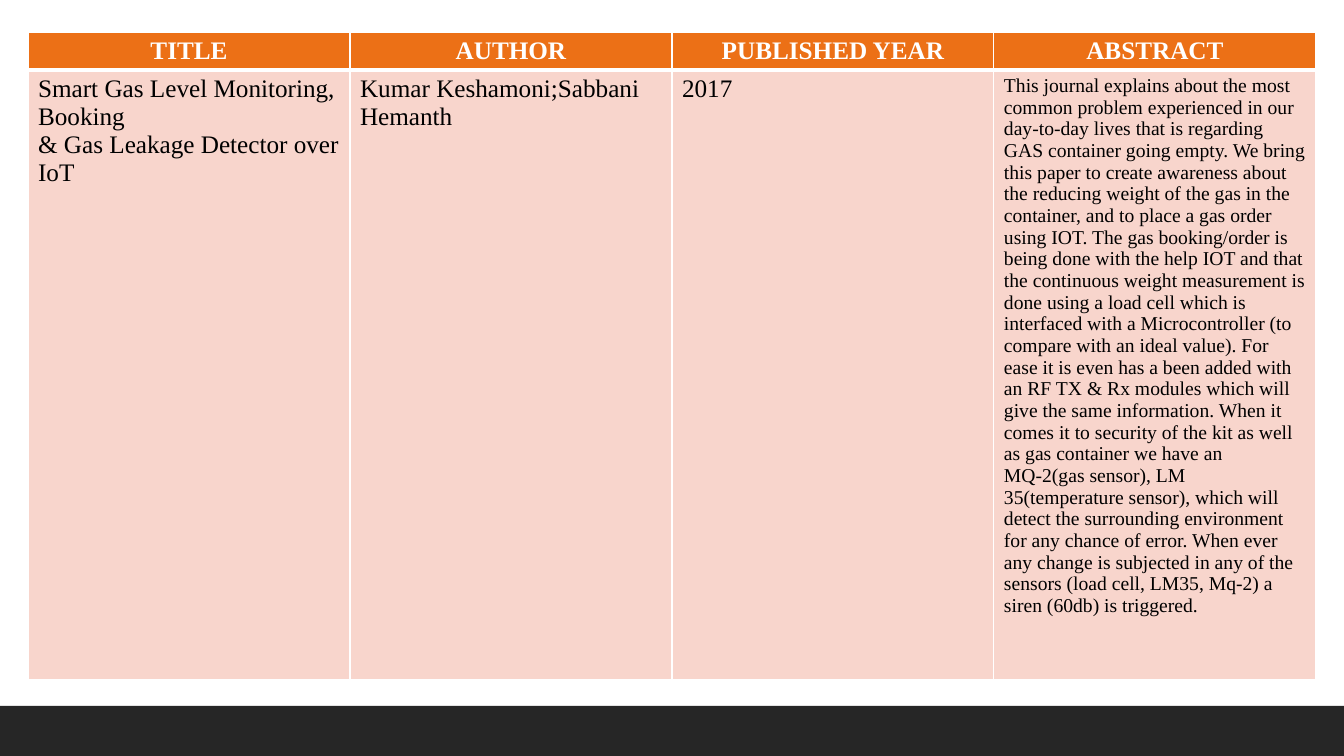
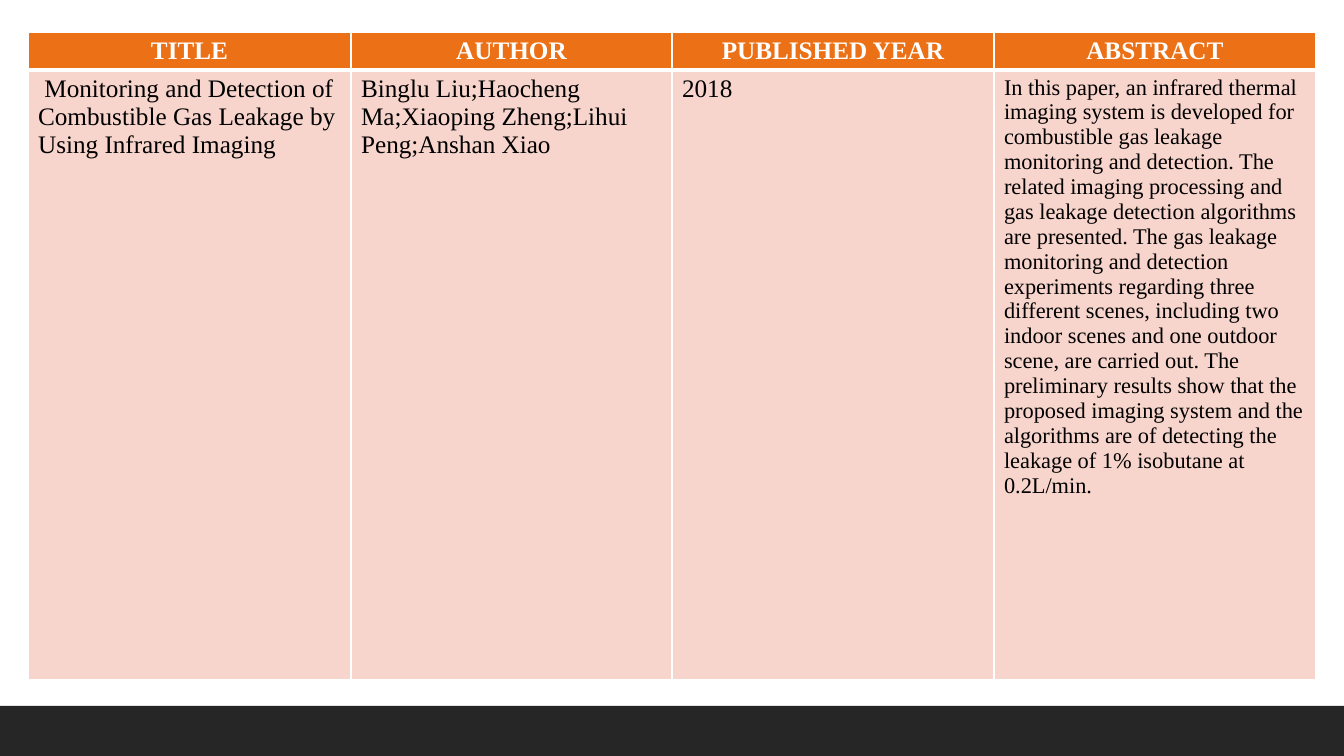
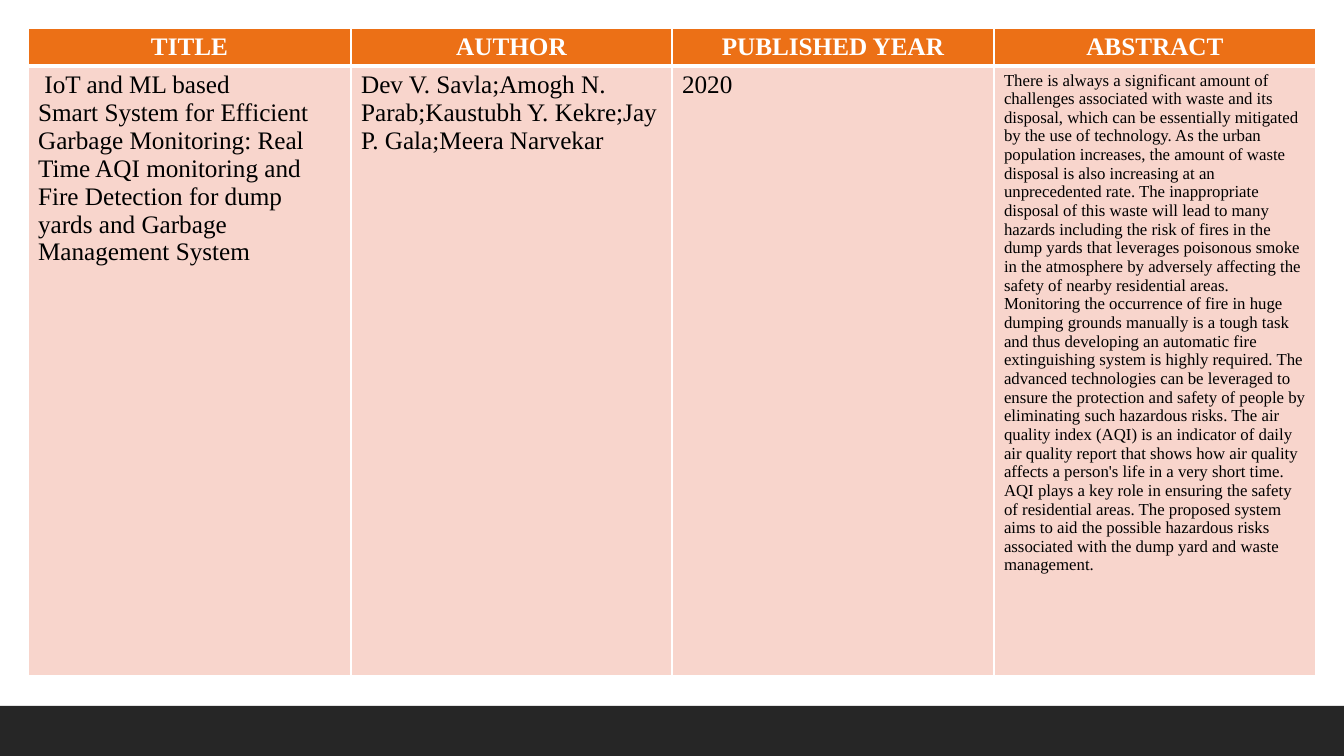
from lxml import etree
from pptx import Presentation
from pptx.dml.color import RGBColor
from pptx.enum.shapes import MSO_SHAPE
from pptx.enum.text import PP_ALIGN
from pptx.oxml.ns import qn
from pptx.util import Pt

RECTANGLE = MSO_SHAPE.RECTANGLE
LEFT, CENTER = PP_ALIGN.LEFT, PP_ALIGN.CENTER

# Shared look
EMU_PER_PIXEL = 914400 / 100.8
SLIDE_WIDTH, SLIDE_HEIGHT = 1344, 756
FOOTER_HEIGHT = 50
FONT = "Times New Roman"
TEXT_SIZE = 18
WHITE, BLACK = "FFFFFF", "000000"
FOOTER_FILL, HEADER_FILL, BODY_FILL = "262626", "EC7016", "F8D5CC"

# Table layout
HEADINGS = ("TITLE", "AUTHOR", "PUBLISHED YEAR", "ABSTRACT")
TABLE_LEFT = 28
ROW_HEIGHTS = (38, 610)
EVEN_COLUMNS = (322, 322, 322, 322)
WIDE_TITLE_COLUMNS = (323, 321, 322, 322)
THIN_LINE, THICK_LINE = 1, 3

# Abstracts, sentence by sentence
GAS_BOOKING_ABSTRACT = (
    "This journal explains about the most common problem experienced in our "
    "day-to-day lives that is regarding GAS container going empty.",
    "We bring this paper to create awareness about the reducing weight of the "
    "gas in the container, and to place a gas order using IOT.",
    "The gas booking/order is being done with the help IOT and that the "
    "continuous weight measurement is done using a load cell which is "
    "interfaced with a Microcontroller (to compare with an ideal value).",
    "For ease it is even has a been added with an RF TX & Rx modules which will "
    "give the same information.",
    "When it comes it to security of the kit as well as gas container we have "
    "an MQ-2(gas sensor), LM 35(temperature sensor), which will detect the "
    "surrounding environment for any chance of error.",
    "When ever any change is subjected in any of the sensors (load cell, LM35, "
    "Mq-2) a siren (60db) is triggered.",
)
INFRARED_ABSTRACT = (
    "In this paper, an infrared thermal imaging system is developed for "
    "combustible gas leakage monitoring and detection.",
    "The related imaging processing and gas leakage detection algorithms are "
    "presented.",
    "The gas leakage monitoring and detection experiments regarding three "
    "different scenes, including two indoor scenes and one outdoor scene, are "
    "carried out.",
    "The preliminary results show that the proposed imaging system and the "
    "algorithms are of detecting the leakage of 1% isobutane at 0.2L/min.",
)
GARBAGE_ABSTRACT = (
    "There is always a significant amount of challenges associated with waste "
    "and its disposal, which can be essentially mitigated by the use of "
    "technology.",
    "As the urban population increases, the amount of waste disposal is also "
    "increasing at an unprecedented rate.",
    "The inappropriate disposal of this waste will lead to many hazards "
    "including the risk of fires in the dump yards that leverages poisonous "
    "smoke in the atmosphere by adversely affecting the safety of nearby "
    "residential areas.",
    "Monitoring the occurrence of fire in huge dumping grounds manually is a "
    "tough task and thus developing an automatic fire extinguishing system is "
    "highly required.",
    "The advanced technologies can be leveraged to ensure the protection and "
    "safety of people by eliminating such hazardous risks.",
    "The air quality index (AQI) is an indicator of daily air quality report "
    "that shows how air quality affects a person's life in a very short time.",
    "AQI plays a key role in ensuring the safety of residential areas.",
    "The proposed system aims to aid the possible hazardous risks associated "
    "with the dump yard and waste management.",
)

# One entry per slide: table top, columns, abstract size, table texts
PAPERS = (
    (32, EVEN_COLUMNS, 14, (
        "Smart\u00a0Gas\u00a0Level\u00a0Monitoring, Booking "
        "&\u00a0Gas\u00a0Leakage\u00a0Detector over IoT",
        "Kumar Keshamoni;Sabbani Hemanth",
        "2017",
        " ".join(GAS_BOOKING_ABSTRACT))),
    (32, WIDE_TITLE_COLUMNS, 16, (
        "\u00a0Monitoring\u00a0and Detection of "
        "Combustible\u00a0Gas\u00a0Leakage\u00a0by Using Infrared Imaging",
        "Binglu Liu;Haocheng Ma;Xiaoping Zheng;Lihui Peng;Anshan Xiao",
        "2018",
        " ".join(INFRARED_ABSTRACT))),
    (28, WIDE_TITLE_COLUMNS, 12, (
        "\u00a0IoT and ML based Smart\u00a0System\u00a0for Efficient "
        "Garbage\u00a0Monitoring: Real Time AQI\u00a0monitoring\u00a0and Fire "
        "Detection for dump yards and Garbage Management\u00a0System",
        "Dev V. Savla;Amogh N. Parab;Kaustubh Y. Kekre;Jay P. Gala;Meera Narvekar",
        "2020",
        " ".join(GARBAGE_ABSTRACT))),
)


def px(pixels):
    return round(pixels * EMU_PER_PIXEL)


def paint(fill, color):
    fill.solid()
    fill.fore_color.rgb = RGBColor.from_string(color)


def add_footer_band(slide, left, top, width, height):
    band = slide.shapes.add_shape(RECTANGLE, px(left), px(top), px(width), px(height))
    band.shadow.inherit = False
    paint(band.fill, FOOTER_FILL)
    band.line.fill.background()


def set_borders(cell, top, bottom):
    properties = cell._tc.get_or_add_tcPr()
    widths = {"a:lnL": THIN_LINE, "a:lnR": THIN_LINE, "a:lnT": top, "a:lnB": bottom}
    for tag, width in widths.items():
        line = etree.SubElement(properties, qn(tag), w=str(Pt(width)))
        line_fill = etree.SubElement(line, qn("a:solidFill"))
        etree.SubElement(line_fill, qn("a:srgbClr"), val=WHITE)


def write_cell(cell, text, size, color, bold, alignment):
    paragraph = cell.text_frame.paragraphs[0]
    paragraph.alignment = alignment
    run = paragraph.add_run()
    run.text = text
    run.font.name = FONT
    run.font.size = Pt(size)
    run.font.bold = bold
    run.font.color.rgb = RGBColor.from_string(color)


def add_paper_table(slide, left, top, columns, abstract_size, texts):
    frame = slide.shapes.add_table(len(ROW_HEIGHTS), len(columns), px(left), px(top),
                                   px(sum(columns)), px(sum(ROW_HEIGHTS)))
    table = frame.table
    for row, height in zip(table.rows, ROW_HEIGHTS):
        row.height = px(height)

    sizes = (TEXT_SIZE, TEXT_SIZE, TEXT_SIZE, abstract_size)
    for index, width in enumerate(columns):
        table.columns[index].width = px(width)
        # Heading
        heading = table.cell(0, index)
        set_borders(heading, THIN_LINE, THICK_LINE)
        paint(heading.fill, HEADER_FILL)
        write_cell(heading, HEADINGS[index], TEXT_SIZE, WHITE, True, CENTER)
        # Paper details
        detail = table.cell(1, index)
        set_borders(detail, THICK_LINE, THIN_LINE)
        paint(detail.fill, BODY_FILL)
        write_cell(detail, texts[index], sizes[index], BLACK, False, LEFT)


def add_paper_slide(presentation, top, columns, abstract_size, texts):
    slide = presentation.slides.add_slide(presentation.slide_layouts[6])
    paint(slide.background.fill, WHITE)
    add_footer_band(slide, 0, SLIDE_HEIGHT - FOOTER_HEIGHT, SLIDE_WIDTH, FOOTER_HEIGHT)
    add_paper_table(slide, TABLE_LEFT, top, columns, abstract_size, texts)


presentation = Presentation()
presentation.slide_width = px(SLIDE_WIDTH)
presentation.slide_height = px(SLIDE_HEIGHT)
for paper in PAPERS:
    add_paper_slide(presentation, *paper)
presentation.save("out.pptx")
